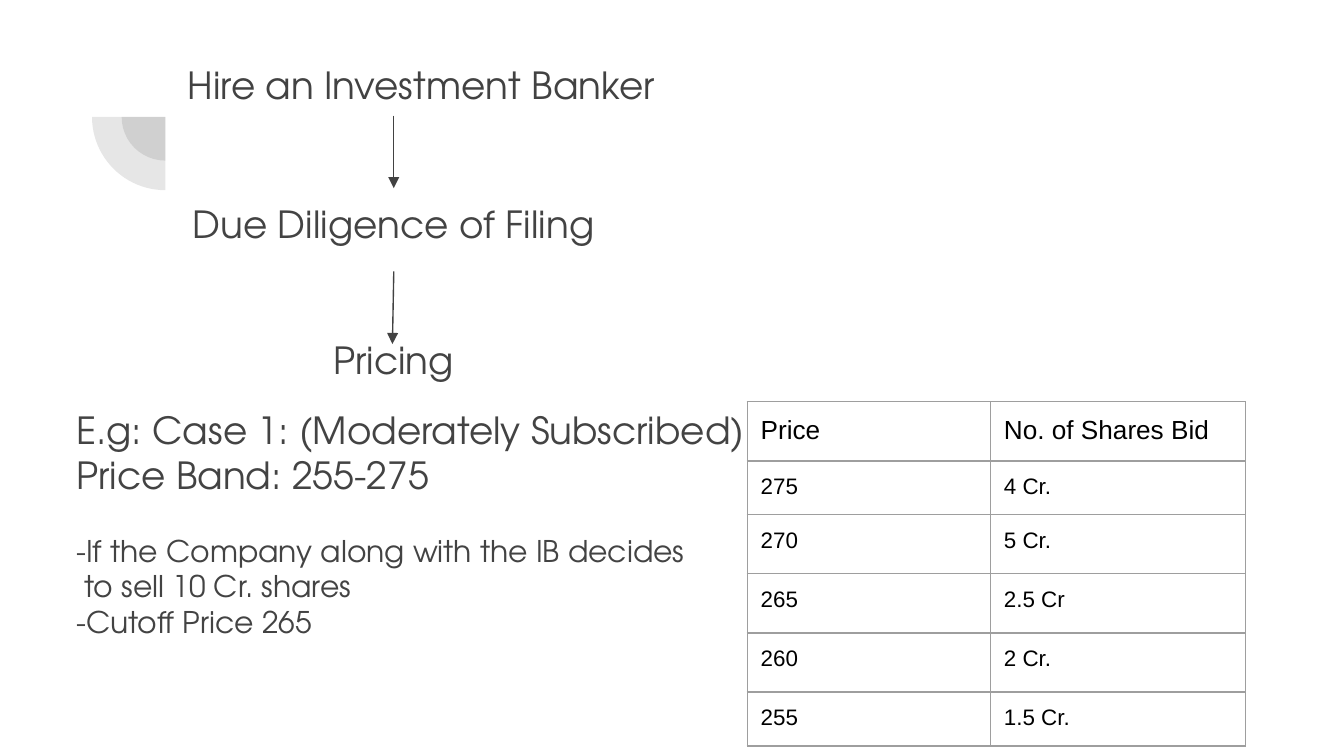
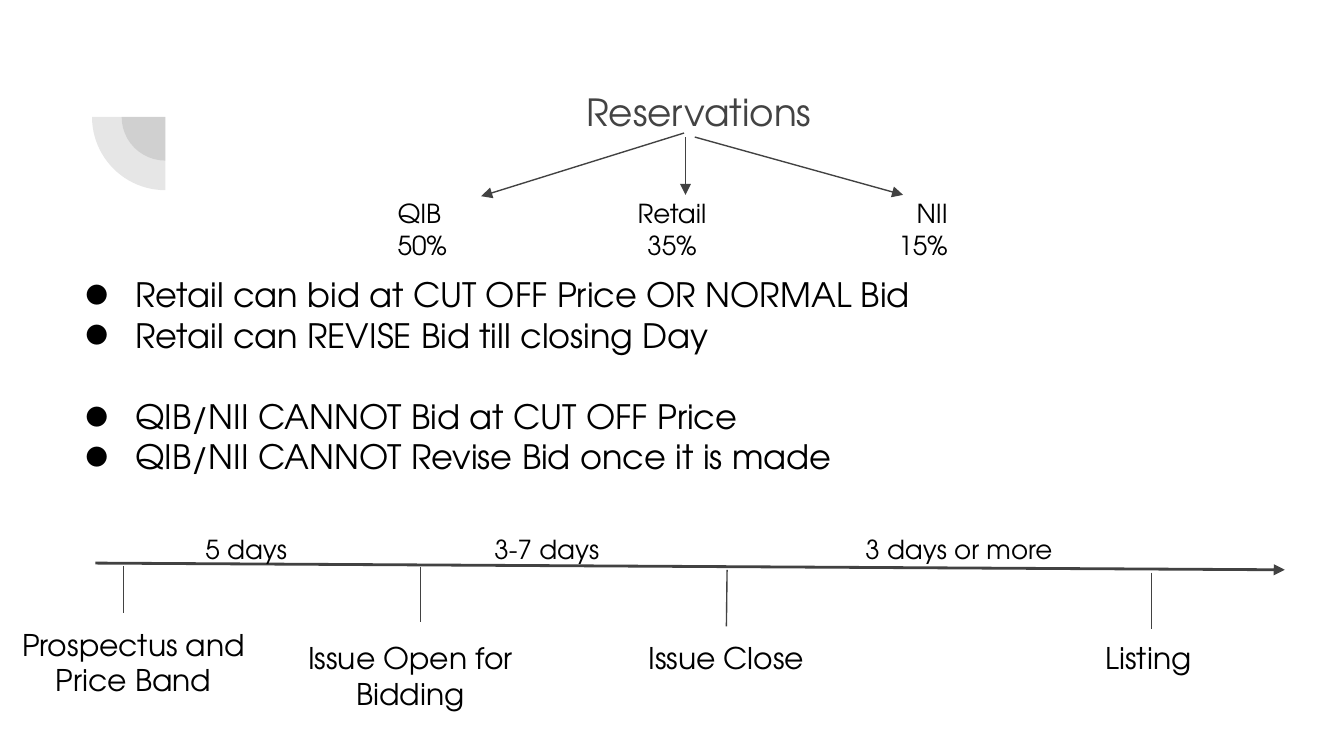
"""Build two slides on share pricing and reservations."""
from dataclasses import dataclass

from lxml.etree import SubElement as Sub
from pptx import Presentation
from pptx.dml.color import RGBColor as Rgb
from pptx.enum.shapes import MSO_CONNECTOR as Conn, MSO_SHAPE as Form
from pptx.enum.text import PP_ALIGN as Align
from pptx.oxml.ns import qn
from pptx.util import Pt

PX = 9144
WIDTH = 1000 * PX
HEIGHT = WIDTH * 9 // 16


@dataclass(frozen=True)
class Theme:
    face: str = "TeX Gyre Adventor"
    plain: str = "Arial"
    dark: str = "424242"
    gray: str = "434343"
    black: str = "000000"
    rule: str = "9E9E9E"
    alpha: int = 13
    head: int = 20
    list: int = 18
    body: int = 16
    note: int = 14
    cell: int = 12
    thin: float = 0.75
    bold: float = 1.5


class Deck:
    def __init__(self, theme):
        self.t = theme
        self.file = Presentation()
        self.file.slide_width, self.file.slide_height = WIDTH, HEIGHT
        self.slide = None

    def page(self):
        self.slide = self.file.slides.add_slide(self.file.slide_layouts[6])
        for size in (65, 109):
            self.pie(123, 87, size)

    def pie(self, x, y, size):
        box = (x - size / 2, y - size / 2, size, size)
        pie = self.slide.shapes.add_shape(Form.PIE, *(int(v * PX) for v in box))
        pie.adjustments[0], pie.adjustments[1] = 108, 162
        pie.rotation = 270
        pie.shadow.inherit = False
        pie.line.fill.background()
        pie.fill.solid()
        pie.fill.fore_color.rgb = Rgb.from_string(self.t.dark)
        tint = next(pie._element.spPr.iter(qn("a:srgbClr")))
        Sub(tint, qn("a:alpha"), val=str(self.t.alpha * 1000))

    def font(self, para, size, color, face):
        para.font.size = Pt(size)
        para.font.name = face
        para.font.color.rgb = Rgb.from_string(color)

    def pad(self, item):
        item.margin_left = item.margin_right = 10 * PX
        item.margin_top = item.margin_bottom = 10 * PX

    def text(self, box, lines, size, color, align=Align.LEFT, dot=False):
        """Add a text box; a line is a string or (string, size, gap before)."""
        shape = self.slide.shapes.add_textbox(*(v * PX for v in box))
        frame = shape.text_frame
        frame.word_wrap = True
        self.pad(frame)
        for i, line in enumerate(lines):
            words, pts, gap = (line, size, 0) if isinstance(line, str) else line
            para = frame.paragraphs[0] if i == 0 else frame.add_paragraph()
            para.text = words
            para.alignment = align
            if gap:
                para.space_before = Pt(gap)
            if dot:
                self.dot(para)
            self.font(para, pts, color, self.t.face)
        return shape

    def title(self, box, words, color, align=Align.LEFT):
        para = self.text(box, [words], self.t.head, color, align).text_frame.paragraphs[0]
        para.line_spacing = 1.15
        para.space_after = Pt(16)

    def dot(self, para):
        props = para._p.get_or_add_pPr()
        props.set("marL", str(50 * PX))
        props.set("indent", str(-38 * PX))
        Sub(Sub(props, qn("a:buClr")), qn("a:srgbClr"), val=self.t.black)
        Sub(props, qn("a:buFont"), typeface=self.t.face)
        Sub(props, qn("a:buChar"), char="●")

    def line(self, ends, width=None, tip=False, start=None, stop=None):
        line = self.slide.shapes.add_connector(Conn.STRAIGHT, *(v * PX for v in ends))
        if start:
            line.begin_connect(start, 2)
        if stop:
            line.end_connect(stop, 0)
        line.line.width = Pt(width or self.t.thin)
        line.line.color.rgb = Rgb.from_string(self.t.dark)
        if tip:
            Sub(line.line._get_or_add_ln(), qn("a:tailEnd"), type="triangle")
        Sub(line._element.spPr, qn("a:effectLst"))

    def table(self, x, y, cols, rows, data):
        size = (sum(cols), sum(rows))
        frame = self.slide.shapes.add_table(
            len(rows), len(cols), *(v * PX for v in (x, y, *size)))
        grid = frame.table
        grid.first_row = grid.horz_banding = False
        for col, wide in zip(grid.columns, cols):
            col.width = wide * PX
        for r, (row, high) in enumerate(zip(grid.rows, rows)):
            row.height = high * PX
            for cell, words in zip(row.cells, data[r]):
                cell.text = words
                self.pad(cell)
                self.font(cell.text_frame.paragraphs[0],
                          self.t.cell if r else self.t.note, self.t.black, self.t.plain)
                self.edge(cell)
                cell.fill.background()

    def edge(self, cell):
        props = cell._tc.get_or_add_tcPr()
        for side in "LRTB":
            line = Sub(props, qn("a:ln" + side), w=str(Pt(self.t.thin)))
            Sub(Sub(line, qn("a:solidFill")), qn("a:srgbClr"), val=self.t.rule)


def price(deck):
    t = deck.t
    deck.page()
    deck.title((130, 31, 843, 482), "Hire an Investment Banker", t.dark)
    check, _ = [
        deck.text((130, y, 326, 62), [words], t.head, t.gray, Align.CENTER)
        for y, words in ((140, "Due Diligence of Filing"), (241, "Pricing"))
    ]
    deck.line((293, 86, 292, 140), tip=True, stop=check)
    deck.line((293, 203, 292, 256), tip=True, start=check)
    deck.text((47, 293, 540, 256), [
        "E.g: Case 1: (Moderately Subscribed)",
        "Price Band: 255-275",
        ("-If the Company along with the IB decides", t.body, 19),
        (" to sell 10 Cr. shares", t.body, 0),
        ("-Cutoff Price 265", t.body, 0),
    ], t.head, t.gray)
    deck.table(556, 299, (181, 190), (44, 40, 44, 44, 44, 40), (
        ("Price", "No. of Shares Bid"),
        ("275", "4 Cr."),
        ("270", "5 Cr."),
        ("265", "2.5 Cr"),
        ("260", "2 Cr."),
        ("255", "1.5 Cr."),
    ))


def quota(deck):
    t = deck.t
    deck.page()
    deck.title((128, 51, 784, 445), "Reservations", t.gray, Align.CENTER)
    for ends in ((509, 99, 358, 146), (510, 102, 510, 145), (517, 102, 672, 145)):
        deck.line(ends, tip=True)
    for x, wide, name, share, align in (
        (286, 150, "QIB", "50%", Align.LEFT),
        (425, 150, "Retail", "35%", Align.CENTER),
        (598, 117, "NII", "15%", Align.RIGHT),
    ):
        deck.text((x, 137, wide, 47), [name, share], t.note, t.black, align)
    deck.text((41, 194, 765, 272), [
        "Retail can bid at CUT OFF Price OR NORMAL Bid",
        "Retail can REVISE Bid till closing Day",
        ("QIB/NII CANNOT Bid at CUT OFF Price", t.list, 22),
        "QIB/NII CANNOT Revise Bid once it is made",
    ], t.list, t.black, dot=True)

    deck.line((71, 419, 956, 424), t.bold, tip=True)
    for x, y, words, tick, top, end in (
        (6, 456, "Prospectus and Price Band", 92, 421, 456),
        (212, 466, "Issue Open for Bidding", 313, 422, 463),
        (447, 466, "Issue Close", 541, 424, 466),
        (761, 466, "Listing", 857, 426, 468),
    ):
        label = deck.text((x, y, 187, 64), [words], t.body, t.black, Align.CENTER)
        near = end == y and abs(tick - x - 187 / 2) < 1
        deck.line((tick, top, tick, end), stop=label if near else None)
    for x, wide, words in (
        (143, 132, "5 days"), (358, 132, "3-7 days"), (634, 187, "3 days or more"),
    ):
        deck.text((x, 387, wide, 27), [words], t.note, t.black)


def main():
    deck = Deck(Theme())
    price(deck)
    quota(deck)
    deck.file.save("out.pptx")


if __name__ == "__main__":
    main()
